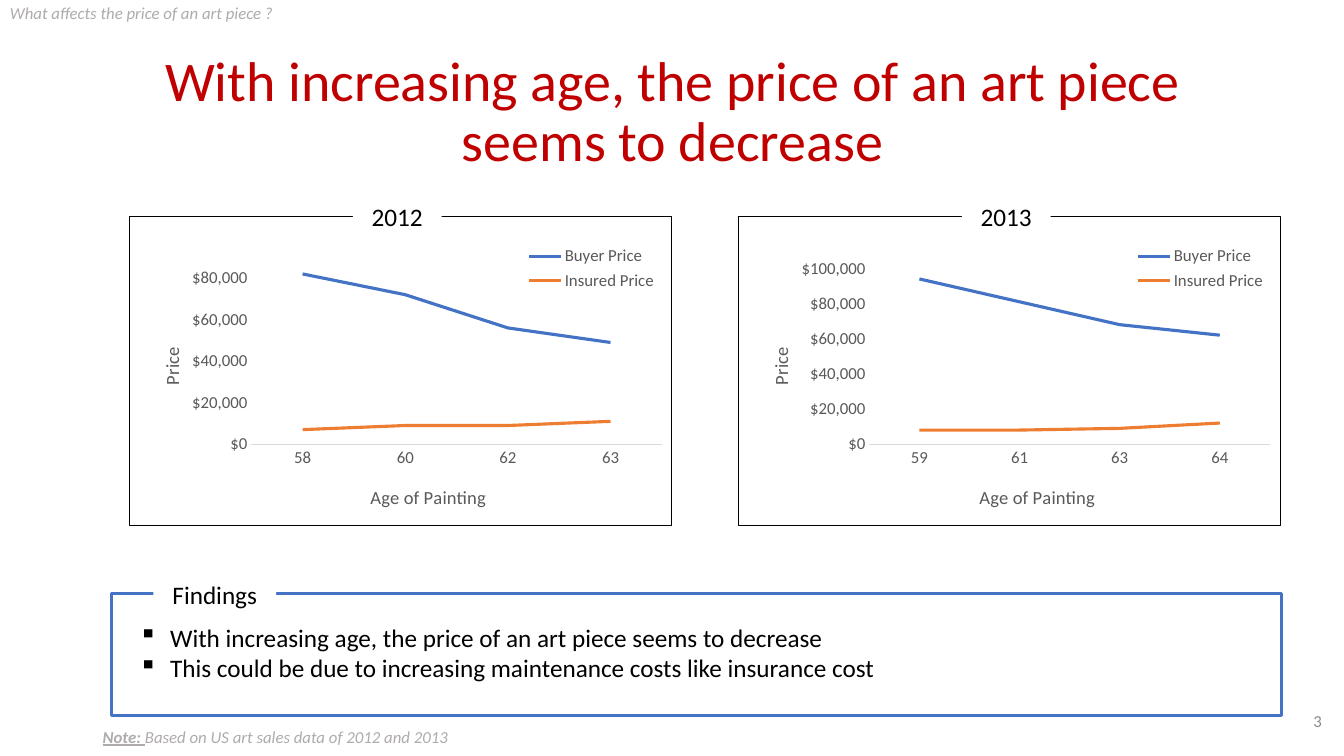
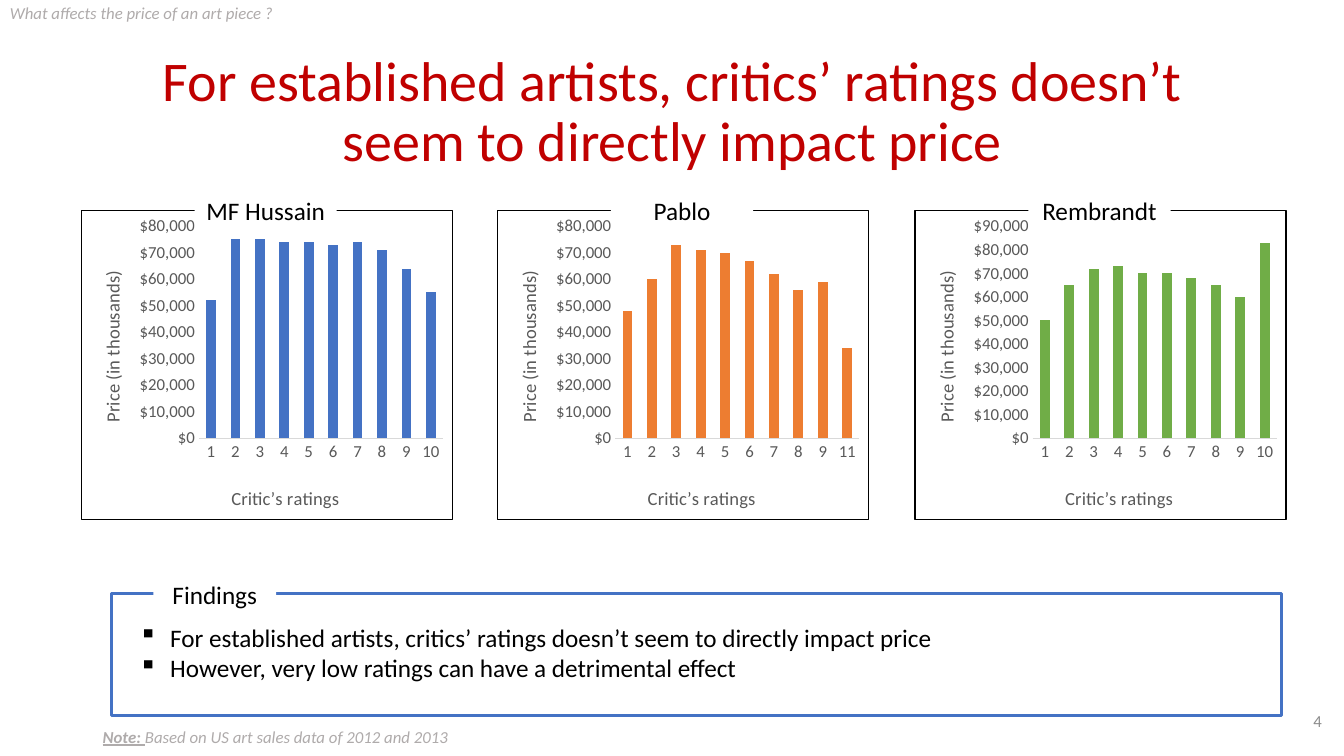
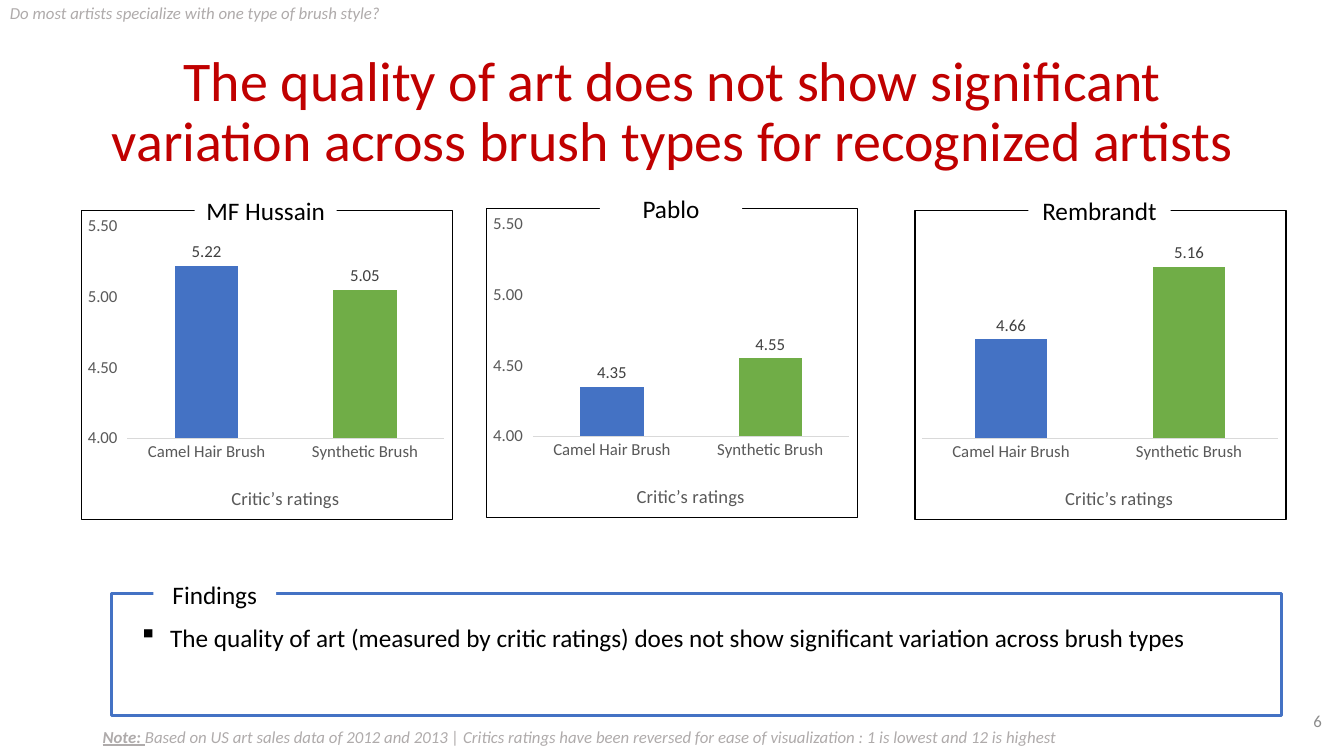
import pptx
import pptx.chart.data
import pptx.dml.color
import pptx.enum.chart
import pptx.enum.shapes
import pptx.enum.text
import pptx.oxml
import pptx.oxml.ns
import pptx.util

RGB = pptx.dml.color.RGBColor
RED = RGB(0xC0, 0x00, 0x00)
BLUE = RGB(0x44, 0x72, 0xC4)
ORANGE = RGB(0xED, 0x7D, 0x31)
GREEN = RGB(0x70, 0xAD, 0x47)
BLACK = RGB(0, 0, 0)
WHITE = RGB(0xFF, 0xFF, 0xFF)
PALE = RGB(0xD9, 0xD9, 0xD9)
SILVER = RGB(0xAF, 0xAB, 0xAB)
GREY = RGB(0x8C, 0x8C, 0x8C)
SLATE = RGB(0x59, 0x59, 0x59)
DARK = RGB(0x40, 0x40, 0x40)

FONT = "Calibri"
PX = 9144  # 100 px to the inch
Pt = pptx.util.Pt
qn = pptx.oxml.ns.qn
ALIGN = pptx.enum.text.PP_ALIGN
ANCHOR = pptx.enum.text.MSO_ANCHOR
TYPE = pptx.enum.chart.XL_CHART_TYPE
TICK = pptx.enum.chart.XL_TICK_MARK
RECT = pptx.enum.shapes.MSO_SHAPE.RECTANGLE
DOLLAR, PLAIN = '"$"#,##0', "#,##0.00"


def write(shape, lines, size, color, align=ALIGN.LEFT, anchor=ANCHOR.TOP):
    """Fill a shape with lines, each a list of (text, styles), styles among "biu"."""
    frame = shape.text_frame
    frame.word_wrap = True
    frame.vertical_anchor = anchor
    for i, runs in enumerate(lines):
        para = frame.add_paragraph() if i else frame.paragraphs[0]
        para.alignment = align
        for words, style in runs:
            run = para.add_run()
            run.text = words
            font = run.font
            font.name, font.size = FONT, Pt(size)
            font.color.rgb = color
            font.bold, font.italic, font.underline = (s in style for s in "biu")
    return frame


def place(node, box, wide, high, inner=False):
    """Give a chart part a fixed place: box is px inside a chart of wide by high."""
    for old in node.findall(qn("c:layout")):
        node.remove(old)
    tags = [("layoutTarget", "inner")] if inner else []
    tags += [("xMode", "edge"), ("yMode", "edge")]
    tags += [(tag, round(v / full, 4))
             for tag, v, full in zip("xywh", box, (wide, high, wide, high))]
    body = "".join(f'<c:{tag} val="{v}"/>' for tag, v in tags)
    node.insert(0 if inner else 1, pptx.oxml.parse_xml(
        f'<c:layout {pptx.oxml.ns.nsdecls("c")}>'
        f'<c:manualLayout>{body}</c:manualLayout></c:layout>'))


TEN = [str(n) for n in range(1, 11)]
BRUSH = ["Camel Hair Brush", "Synthetic Brush"]
PRICE = "What affects the price of an art piece ?"
SOURCE = "Based on US art sales data of 2012 and 2013"
PAIR = ["Buyer Price", "Insured Price"]

# Look of the panels on each slide: chart type, size, label offset and width,
# axis titles with their places, number format, axis step and tick marks.
LINES = dict(kind=TYPE.LINE, wide=539, tab=222, span=88, foot=("Age of Painting", (236, 264)),
             side=("Price", (26, 127)), fmt=DOLLAR, step=20000, tick=TICK.NONE)
BARS = dict(kind=TYPE.COLUMN_CLUSTERED, wide=369, tab=113, span=141,
            foot=("Critic’s ratings", (146, 271)),
            side=("Price (in thousands)", (15, 57)), fmt=DOLLAR, step=10000, tick=TICK.NONE)
RATES = dict(BARS, side=None, fmt=PLAIN, step=0.5, tick=TICK.OUTSIDE)
HIGH = 308
BAR, RATE, FULL = (117, 16, 243, 211), (46, 16, 315, 211), (7, 16, 354, 211)

# Panels: name, left, top, plot box, (low, top) of axis, categories, values, colours
SLIDES = [
    (3, PRICE, "With increasing age, the price of an art piece seems to decrease", LINES, [
        ("2012", 128, 214, (121, 41, 408, 186), (0, 90000), ["58", "60", "62", "63"],
         [[82000, 72000, 56000, 49000], [7000, 9000, 9000, 11000]], [BLUE, ORANGE]),
        ("2013", 732, 214, (130, 52, 398, 175), (0, 100000), ["59", "61", "63", "64"],
         [[94000, 81000, 68000, 62000], [8000, 8000, 9000, 12000]], [BLUE, ORANGE]),
    ], ["With increasing age, the price of an art piece seems to decrease",
        "This could be due to increasing maintenance costs like insurance cost"], SOURCE),
    (4, PRICE, "For established artists, critics’ ratings doesn’t seem to directly impact price",
     BARS, [
        ("MF Hussain", 80, 208, BAR, (0, 80000), TEN,
         [[52000, 75000, 75000, 74000, 74000, 73000, 74000, 71000, 64000, 55000]], [BLUE]),
        ("Pablo", 493, 208, BAR, (0, 80000), TEN[:9] + ["11"],
         [[48000, 60000, 73000, 71000, 70000, 67000, 62000, 56000, 59000, 34000]], [ORANGE]),
        ("Rembrandt", 907, 208, BAR, (0, 90000), TEN,
         [[50000, 65000, 72000, 73000, 70000, 70000, 68000, 65000, 60000, 83000]], [GREEN]),
     ], ["For established artists, critics’ ratings doesn’t seem to directly impact price",
         "However, very low ratings can have a detrimental effect"], SOURCE),
    (6, "Do most artists specialize with one type of brush style?",
     "The quality of art does not show significant variation across brush types "
     "for recognized artists", RATES, [
        ("MF Hussain", 80, 208, RATE, (4, 5.5), BRUSH, [[5.22, 5.05]], [BLUE, GREEN]),
        ("Pablo", 482, 206, RATE, (4, 5.5), BRUSH, [[4.35, 4.55]], [BLUE, GREEN]),
        ("Rembrandt", 907, 208, FULL, (3.98, 5.44), BRUSH, [[4.66, 5.16]], [BLUE, GREEN]),
     ], ["The quality of art (measured by critic ratings) does not show significant "
         "variation across brush types"],
     SOURCE + " | Critics ratings have been reversed for ease of visualization : "
     "1 is lowest and 12 is highest"),
]

deck = pptx.Presentation()
deck.slide_width, deck.slide_height = 1333 * PX, 750 * PX

for number, topic, title, look, panels, points, note in SLIDES:
    shapes = deck.slides.add_slide(deck.slide_layouts[6]).shapes
    wide, tabs = look["wide"], []

    head = shapes.add_textbox(92 * PX, 40 * PX, 1150 * PX, 145 * PX)
    frame = write(head, [[(title, "")]], 40, RED, ALIGN.CENTER, ANCHOR.MIDDLE)
    frame.paragraphs[0].line_spacing = 0.9

    for name, left, top, plot, (low, peak), cats, rows, colors in panels:
        data = pptx.chart.data.CategoryChartData()
        data.categories = cats
        for i, row in enumerate(rows):
            data.add_series(PAIR[i] if look is LINES else "Series 1", row)
        chart = shapes.add_chart(look["kind"], left * PX, top * PX,
                                 wide * PX, HIGH * PX, data).chart
        chart.has_title = False
        chart.font.name, chart.font.size = FONT, Pt(12)
        chart.font.color.rgb = SLATE
        root = chart._chartSpace
        root.find(qn("c:chart")).addnext(pptx.oxml.parse_xml(
            f'<c:spPr {pptx.oxml.ns.nsdecls("c", "a")}><a:noFill/><a:ln w="9525">'
            f'<a:solidFill><a:srgbClr val="{BLACK}"/></a:solidFill></a:ln></c:spPr>'))
        place(root.find(".//" + qn("c:plotArea")), plot, wide, HIGH, True)

        base, scale = chart.category_axis, chart.value_axis
        base.major_tick_mark = TICK.NONE
        base.format.line.color.rgb = PALE
        base.format.line.width = Pt(0.75)
        scale.has_major_gridlines = False
        scale.major_tick_mark = look["tick"]
        scale.format.line.fill.background()
        scale.minimum_scale, scale.maximum_scale = low, peak
        scale.major_unit = look["step"]
        scale.tick_labels.number_format = look["fmt"]
        scale.tick_labels.number_format_is_linked = False
        scale.visible = plot is not FULL
        for axis, part in ((base, look["foot"]), (scale, look["side"])):
            if not part:
                axis.has_title = False
                continue
            run = axis.axis_title.text_frame.paragraphs[0].add_run()
            run.text = part[0]
            run.font.name, run.font.size, run.font.bold = FONT, Pt(13.3), False
            run.font.color.rgb = SLATE
            node = axis.axis_title._element
            place(node, part[1], wide, HIGH)
            if axis is scale:
                turn = node.find(".//" + qn("a:bodyPr"))
                turn.set("rot", "-5400000")
                turn.set("vert", "horz")

        graph = chart.plots[0]
        graph.vary_by_categories = False
        if look is LINES:
            for series, color in zip(graph.series, colors):
                series.smooth = False
                series.marker.style = pptx.enum.chart.XL_MARKER_STYLE.NONE
                series.format.line.color.rgb = color
                series.format.line.width = Pt(2.25)
            chart.has_legend = True
            chart.legend.position = pptx.enum.chart.XL_LEGEND_POSITION.TOP
            chart.legend.include_in_layout = False
            place(chart.legend._element, (388, 25, 142, 54), wide, HIGH)
        else:
            graph.gap_width = 150
            series = graph.series[0]
            series.format.fill.solid()
            series.format.fill.fore_color.rgb = colors[0]
            for i, color in enumerate(colors[1:], 1):
                fill = series.points[i].format.fill
                fill.solid()
                fill.fore_color.rgb = color
        if look is RATES:
            labels = series.data_labels
            labels.show_value = True
            labels.position = pptx.enum.chart.XL_LABEL_POSITION.OUTSIDE_END
            labels.number_format, labels.number_format_is_linked = PLAIN, False
            labels.font.name, labels.font.size = FONT, Pt(12)
            labels.font.color.rgb = DARK
        tabs.append((name, left + look["tab"], top - 23, look["span"]))

    frame = shapes.add_shape(RECT, 111 * PX, 589 * PX, 1160 * PX, 121 * PX)
    frame.shadow.inherit = False
    frame.fill.background()
    frame.line.color.rgb = BLUE
    frame.line.width = Pt(2.25)

    for name, left, top, span in tabs + [("Findings", 152, 566, 122)]:
        tab = shapes.add_shape(RECT, left * PX, top * PX, span * PX, 47 * PX)
        tab.shadow.inherit = False
        tab.fill.solid()
        tab.fill.fore_color.rgb = WHITE
        tab.line.fill.background()
        write(tab, [[(name, "")]], 18, BLACK, ALIGN.CENTER, ANCHOR.MIDDLE)

    box = shapes.add_textbox(128 * PX, 612 * PX, 1127 * PX, (10 + 30 * len(points)) * PX)
    for para in write(box, [[(point, "")] for point in points], 18, BLACK).paragraphs:
        props = para._p.get_or_add_pPr()
        props.set("marL", str(31 * PX))
        props.set("indent", str(-31 * PX))
        pptx.oxml.ns.qn("a:buChar")
        props.append(pptx.oxml.parse_xml(
            f'<a:buChar {pptx.oxml.ns.nsdecls("a")} char="▪"/>'))

    box = shapes.add_textbox(0, -2 * PX, 438 * PX, 30 * PX)
    write(box, [[(topic, "i")]], 12, SILVER)
    box = shapes.add_textbox(92 * PX, 716 * PX, 1123 * PX, 30 * PX)
    write(box, [[("Note: ", "biu"), (note, "i")]], 12, SILVER)
    box = shapes.add_textbox(1021 * PX, 695 * PX, 300 * PX, 40 * PX)
    write(box, [[(str(number), "")]], 12, GREY, ALIGN.RIGHT, ANCHOR.MIDDLE)

deck.save("out.pptx")
